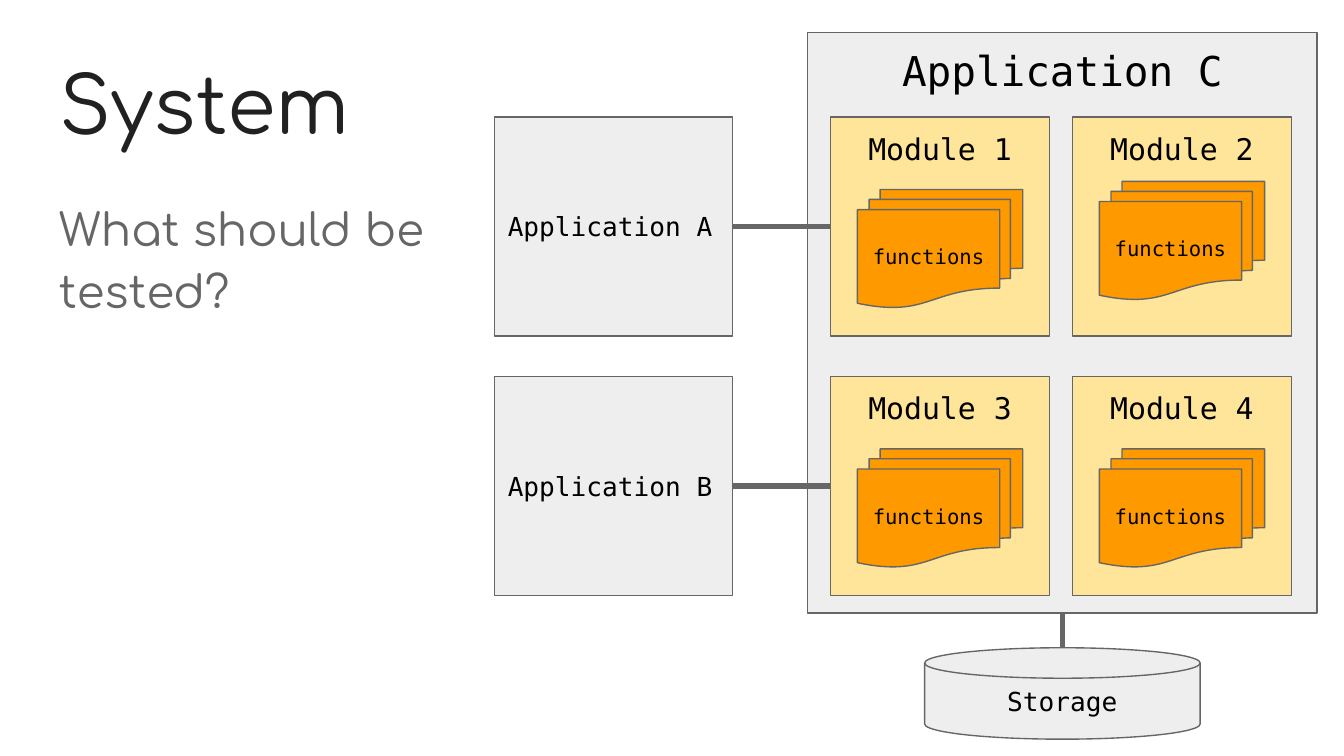
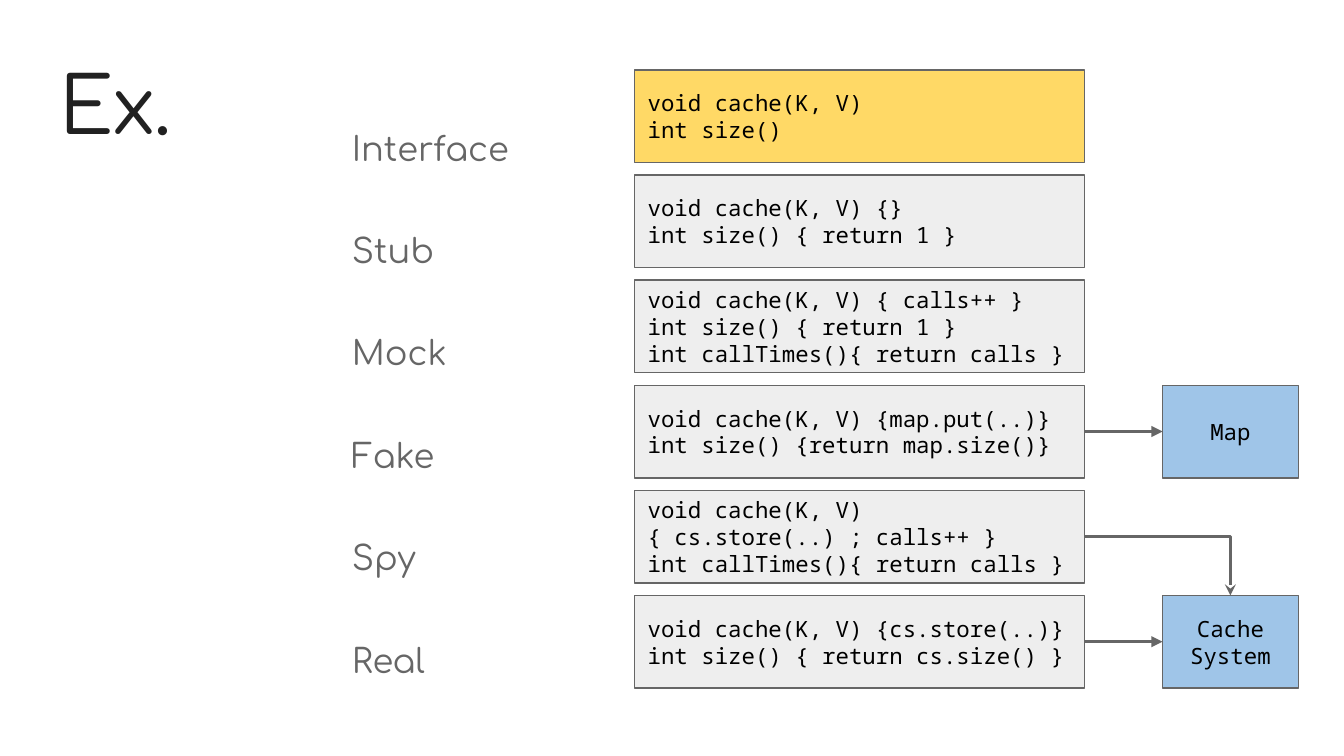
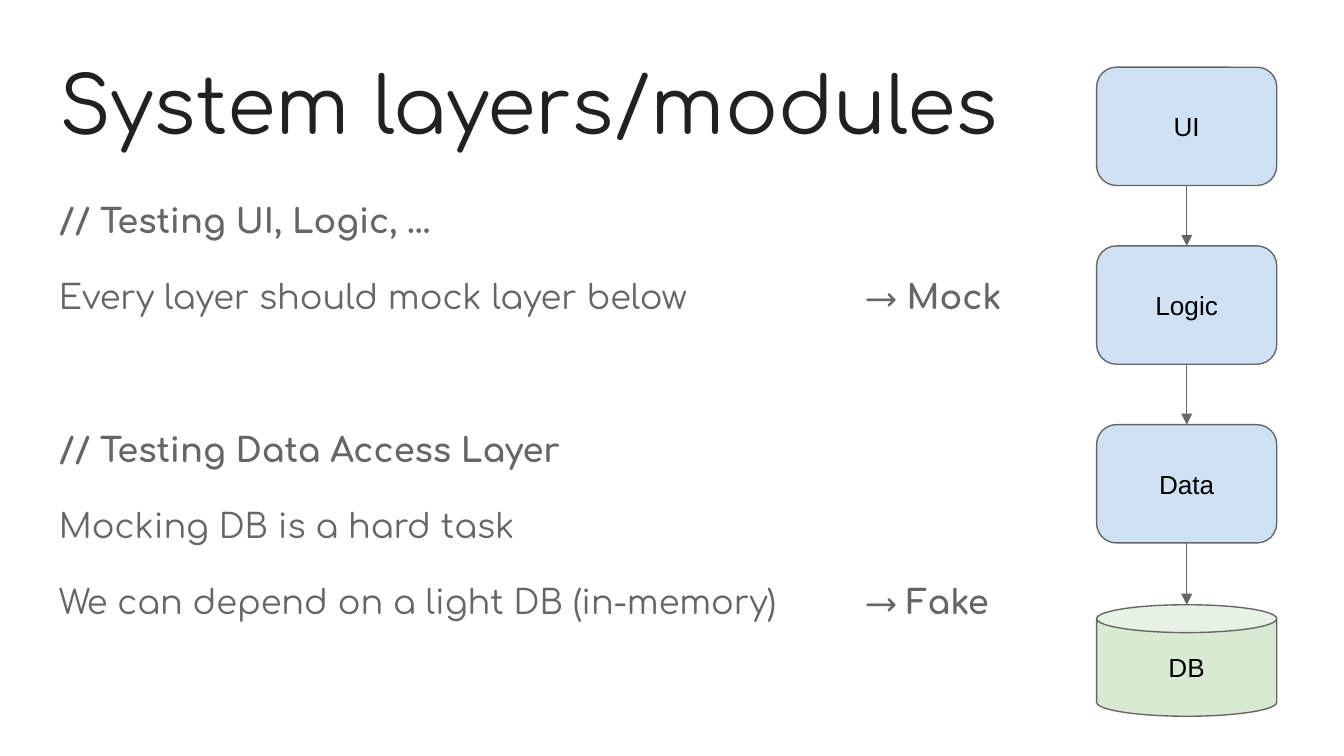
from dataclasses import dataclass

from lxml.etree import SubElement
from pptx import Presentation
from pptx.dml.color import RGBColor
from pptx.enum.shapes import MSO_CONNECTOR, MSO_SHAPE
from pptx.enum.text import MSO_ANCHOR, MSO_AUTO_SIZE, PP_ALIGN
from pptx.oxml.ns import qn
from pptx.util import Inches, Pt


@dataclass(frozen=True)
class Theme:
    """Colours, fonts, type sizes and line widths shared by the slides."""

    title: str = "212121"
    muted: str = "666666"
    ink: str = "000000"
    grey: str = "EEEEEE"
    module: str = "FFE599"
    function: str = "FF9900"
    interface: str = "FFD966"
    dependency: str = "9FC5E8"
    layer: str = "CFE2F3"
    database: str = "D9EAD3"
    heading_font: str = "Comfortaa"
    diagram_font: str = "DejaVu Sans Mono"
    code_font: str = "Noto Sans Mono"
    layer_font: str = "Arial"
    title_size: float = 42
    question_size: float = 24
    container_size: float = 22
    body_size: float = 18
    module_size: float = 16
    label_size: float = 14
    code_size: float = 12
    function_size: float = 11
    outline: float = 0.75
    arrow: float = 1.5
    link: float = 3


THEME = Theme()
TOP, LEFT, BOTTOM, RIGHT = range(4)
PLAIN_BOXES = (MSO_SHAPE.RECTANGLE, MSO_SHAPE.ROUNDED_RECTANGLE)


def assign(target, values):
    """Set each attribute of target from a dict of format values."""
    for name, value in values.items():
        setattr(target, name, value)


def place(shape, left, top, width, height):
    """Move and size a shape, in inches."""
    assign(shape, {"left": Inches(left), "top": Inches(top),
                   "width": Inches(width), "height": Inches(height)})


def set_frame(shape, anchor):
    """Give a text frame even margins, wrapping and an anchor."""
    margins = {f"margin_{side}": Inches(0.1) for side in ("left", "top", "right", "bottom")}
    assign(shape.text_frame, {"word_wrap": True, "auto_size": MSO_AUTO_SIZE.NONE,
                              "vertical_anchor": anchor, **margins})


def add_run(paragraph, text, font, size, color, bold=False):
    """Append one formatted run to a paragraph."""
    run = paragraph.add_run()
    run.text = text
    assign(run.font, {"name": font, "size": Pt(size), "bold": bold})
    run.font.color.rgb = RGBColor.from_string(color)


def add_paragraph(text_frame, position):
    """Return the first paragraph or a new one, by position."""
    return text_frame.add_paragraph() if position else text_frame.paragraphs[0]


def add_titled_slide(presentation, title):
    """Add a title-only slide with its title styled."""
    slide = presentation.slides.add_slide(presentation.slide_layouts[5])
    shape = slide.shapes.title
    place(shape, 0.34, 0.32, 9.32, 0.88)
    set_frame(shape, MSO_ANCHOR.TOP)
    paragraph = shape.text_frame.paragraphs[0]
    paragraph.alignment = PP_ALIGN.LEFT
    add_run(paragraph, title, THEME.heading_font, THEME.title_size, THEME.title)
    return slide


def add_body(slide, bounds, rows, size, spacing, tab=None):
    """Add body text from rows of (points before, [(text, bold), ...])."""
    box = slide.shapes.add_textbox(0, 0, 0, 0)
    place(box, *bounds)
    set_frame(box, MSO_ANCHOR.TOP)
    for position, (before, runs) in enumerate(rows):
        paragraph = add_paragraph(box.text_frame, position)
        assign(paragraph, {"line_spacing": spacing, "space_before": Pt(before)})
        if tab:
            tabs = SubElement(paragraph._p.get_or_add_pPr(), qn("a:tabLst"))
            SubElement(tabs, qn("a:tab"), pos=str(Inches(tab)), algn="l")
        for text, bold in runs:
            add_run(paragraph, text, THEME.heading_font, size, THEME.muted, bold)


def add_box(slide, bounds, text, fill, font, size, kind=MSO_SHAPE.RECTANGLE,
            anchor=MSO_ANCHOR.MIDDLE, alignment=PP_ALIGN.CENTER):
    """Add an outlined preset shape with one paragraph per line of text."""
    shape = slide.shapes.add_shape(kind, 0, 0, 0, 0)
    place(shape, *bounds)
    shape.shadow.inherit = False
    shape.fill.solid()
    shape.fill.fore_color.rgb = RGBColor.from_string(fill)
    shape.line.color.rgb = RGBColor.from_string(THEME.muted)
    shape.line.width = Pt(THEME.outline)
    set_frame(shape, anchor)
    for position, line in enumerate(text.split("\n")):
        paragraph = add_paragraph(shape.text_frame, position)
        paragraph.alignment = alignment
        add_run(paragraph, line, font, size, THEME.ink)
    return shape


def side_point(shape, side):
    """Return the middle of one side of a shape."""
    center = shape.left + shape.width // 2
    middle = shape.top + shape.height // 2
    return {TOP: (center, shape.top), LEFT: (shape.left, middle),
            BOTTOM: (center, shape.top + shape.height),
            RIGHT: (shape.left + shape.width, middle)}[side]


def connect(slide, start, start_side, end, end_side, width, head=None, preset="line"):
    """Join the sides of two shapes with a line and an optional arrowhead."""
    connector = slide.shapes.add_connector(
        MSO_CONNECTOR.STRAIGHT, *side_point(start, start_side), *side_point(end, end_side))
    connector.begin_connect(start, start_side)
    if end.auto_shape_type in PLAIN_BOXES:
        connector.end_connect(end, end_side)
    connector.line.color.rgb = RGBColor.from_string(THEME.muted)
    connector.line.width = Pt(width)
    properties = connector._element.spPr
    properties.find(qn("a:prstGeom")).set("prst", preset)
    if head:
        SubElement(properties.find(qn("a:ln")), qn("a:tailEnd"), type=head)
    SubElement(properties, qn("a:effectLst"))


def add_module(slide, number, left, top, functions_offset):
    """Add a module box holding a stack of functions."""
    module = add_box(slide, (left, top, 1.63, 1.63), f"Module {number}", THEME.module,
                     THEME.diagram_font, THEME.module_size, anchor=MSO_ANCHOR.TOP)
    add_box(slide, (left + 0.2, top + functions_offset, 1.23, 0.88), "functions",
            THEME.function, THEME.diagram_font, THEME.function_size,
            MSO_SHAPE.FLOWCHART_MULTIDOCUMENT)
    return module


def build_system(presentation):
    """Build the slide on the applications and their modules."""
    slide = add_titled_slide(presentation, "System")
    add_body(slide, (0.34, 1.34, 3.09, 3.65), [(0, [("What should be tested?", False)])],
             THEME.question_size, 1.15)
    container = add_box(slide, (6.01, 0.24, 3.79, 4.32), "Application C", THEME.grey,
                        THEME.diagram_font, THEME.container_size, anchor=MSO_ANCHOR.TOP)
    rows = [("A", 0.87, (0.54, 0.48)), ("B", 2.8, (0.54, 0.54))]
    for row, (letter, top, offsets) in enumerate(rows):
        application = add_box(slide, (3.68, top, 1.77, 1.63), f"Application {letter}",
                              THEME.grey, THEME.diagram_font, THEME.label_size,
                              alignment=PP_ALIGN.LEFT)
        modules = [add_module(slide, 2 * row + column + 1, 6.18 + 1.8 * column, top, offset)
                   for column, offset in enumerate(offsets)]
        connect(slide, application, RIGHT, modules[0], LEFT, THEME.link)
    storage = add_box(slide, (6.88, 4.82, 2.05, 0.68), "Storage", THEME.grey,
                      THEME.diagram_font, THEME.label_size,
                      MSO_SHAPE.FLOWCHART_MAGNETIC_DISK)
    connect(slide, container, BOTTOM, storage, TOP, THEME.link)


def build_example(presentation):
    """Build the slide comparing the kinds of test double."""
    slide = add_titled_slide(presentation, "Ex.")
    doubles = {
        "Interface": "void cache(K, V)\nint size()",
        "Stub": "void cache(K, V) {}\nint size() { return 1 }",
        "Mock": "void cache(K, V) { calls++ }\nint size() { return 1 }\n"
                "int callTimes(){ return calls }",
        "Fake": "void cache(K, V) {map.put(..)}\nint size() {return map.size()}",
        "Spy": "void cache(K, V)\n{ cs.store(..) ; calls++ }\n"
               "int callTimes(){ return calls }",
        "Real": "void cache(K, V) {cs.store(..)}\nint size() { return cs.size() }",
    }
    add_body(slide, (2.52, 0.61, 2, 4.59),
             [(16 if position else 0, [(name, False)]) for position, name in enumerate(doubles)],
             THEME.body_size, 1.8)
    boxes = {}
    for position, (name, code) in enumerate(doubles.items()):
        fill = THEME.interface if name == "Interface" else THEME.grey
        top = 0.52 + 3.91 * position / (len(doubles) - 1)
        boxes[name] = add_box(slide, (4.72, top, 3.35, 0.69), code, fill,
                              THEME.code_font, THEME.code_size, alignment=PP_ALIGN.LEFT)
    for name, label in {"Fake": "Map", "Real": "Cache\nSystem"}.items():
        dependency = add_box(slide, (8.65, boxes[name].top.inches, 1.01, 0.69), label,
                             THEME.dependency, THEME.code_font, THEME.code_size)
        connect(slide, boxes[name], RIGHT, dependency, LEFT, THEME.arrow, "triangle")
    connect(slide, boxes["Spy"], RIGHT, dependency, TOP, THEME.arrow, "stealth",
            "bentConnector2")


def build_layers(presentation):
    """Build the slide on testing each layer."""
    slide = add_titled_slide(presentation, "System layers/modules")
    rows = [
        (0, [("// Testing UI, Logic, …", True)]),
        (16, [("Every layer should mock layer below\t→ ", False), ("Mock", True)]),
        (57, [("// Testing Data Access Layer", True)]),
        (16, [("Mocking DB is a hard task", False)]),
        (16, [("We can depend on a light DB (in-memory)\t→ ", False), ("Fake", True)]),
    ]
    add_body(slide, (0.34, 1.34, 7.24, 3.65), rows, THEME.body_size, 1.15, tab=6)
    layers = [add_box(slide, (8.16, 0.5 + 1.33 * position, 1.34, 0.88), name, THEME.layer,
                      THEME.layer_font, THEME.label_size, MSO_SHAPE.ROUNDED_RECTANGLE)
              for position, name in enumerate(("UI", "Logic", "Data"))]
    layers.append(add_box(slide, (8.16, 4.5, 1.34, 0.83), "DB", THEME.database,
                          THEME.layer_font, THEME.label_size, MSO_SHAPE.CAN))
    for upper, lower in zip(layers, layers[1:]):
        connect(slide, upper, BOTTOM, lower, TOP, THEME.outline, "triangle")


def main():
    """Build the three slides and save them."""
    presentation = Presentation()
    width = Inches(10)
    assign(presentation, {"slide_width": width, "slide_height": width * 9 // 16})
    for build in (build_system, build_example, build_layers):
        build(presentation)
    presentation.save("out.pptx")


if __name__ == "__main__":
    main()
